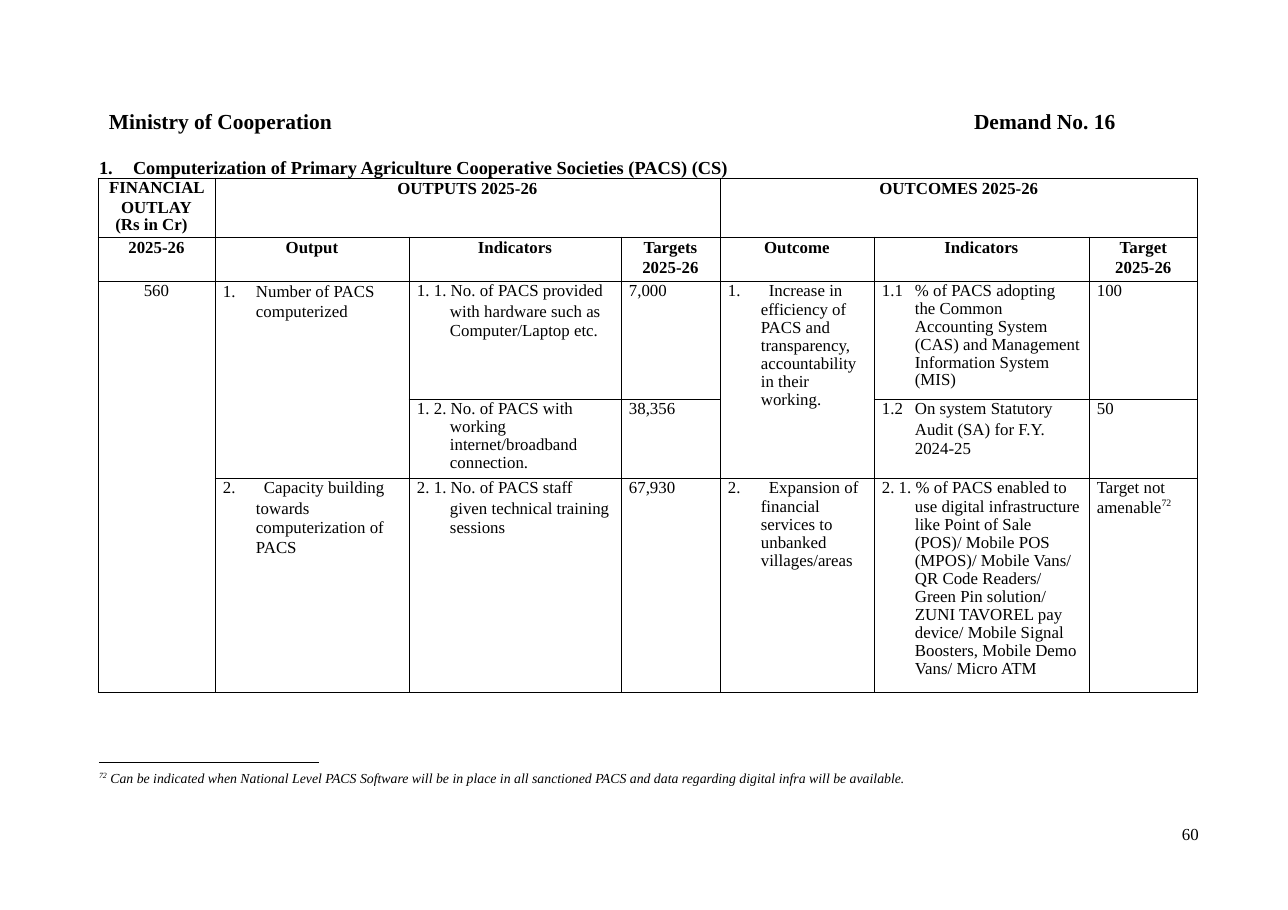
"""Build the ministry's output and outcome framework slide for 2025-26."""
import itertools

import lxml.etree
import pptx
import pptx.dml.color
import pptx.enum.shapes
import pptx.enum.text
import pptx.oxml.ns
import pptx.util

PX = 914400 / 110.2
PAGE_SIZE = (1288, 910)
FONT = "Times New Roman"
COLORS = {"ink": "000000"}
TABLE_PLACE = (98, 178)
COLUMN_WIDTHS = [117, 194, 212, 99, 154, 215, 109]
ROW_HEIGHTS = [59, 44, 118, 79, 214]
RULE = (99, 763, 319, 763)

TITLE = ("Ministry of Cooperation", (109, 107, 230, 29), 1,
         {"size": 14, "bold": True, "before": 1})
BOXES = [
    ("Demand No. 16", (974, 107, 150, 29), 1, {"size": 14, "bold": True, "before": 1}),
    ("1.\tComputerization of Primary Agriculture Cooperative Societies (PACS) (CS)",
     (98, 155, 680, 25), 1,
     {"size": 12, "bold": True, "before": 1, "left": 35, "indent": -34}),
    ("^72^ Can be indicated when National Level PACS Software will be in place in all "
     "sanctioned PACS and data regarding digital infra will be available.",
     (95, 768, 830, 20), 2, {"size": 9, "italic": True, "before": 1, "left": 4}),
    ("60", (1169, 824, 36, 22), 0, {"line": 13.1, "left": 13}),
]

STYLES = {
    "head": {"bold": True, "centered": True, "line": 13},
    "outlay": {"bold": True, "centered": True, "line": 12.7, "left": 10, "before": 0.7},
    "unit": {"bold": True, "centered": True, "line": 11.6},
    "amount": {"centered": True, "line": 12.8},
    "value": {"line": 12.8, "left": 8},
    "note": {"line": 12.7, "left": 8, "before": 0.4},
    "item": {"line": 13.2, "left": 41, "indent": -33},
    "hang": {"line": 12.8, "left": 41, "indent": -33},
    "lead": {"line": 12.8, "left": 49, "indent": -41},
    "loose": {"line": 12.7, "left": 41, "before": 0.8},
    "tight": {"line": 0.96, "left": 41, "before": 0.5},
    "close": {"line": 0.95, "left": 41},
}

MERGES = [((0, 1), (0, 3)), ((0, 4), (0, 6)), ((2, 0), (4, 0)),
          ((2, 1), (3, 1)), ((2, 4), (3, 4))]

CELLS = {
    (0, 0): [("outlay", "FINANCIAL OUTLAY"), ("unit", "(Rs in Cr)")],
    (0, 1): [("head", "OUTPUTS 2025-26")],
    (0, 4): [("head", "OUTCOMES 2025-26")],
    (1, 0): [("head", "2025-26")],
    (1, 1): [("head", "Output")],
    (1, 2): [("head", "Indicators")],
    (1, 3): [("head", "Targets\n2025-26")],
    (1, 4): [("head", "Outcome")],
    (1, 5): [("head", "Indicators")],
    (1, 6): [("head", "Target\n2025-26")],
    (2, 0): [("amount", "560")],
    (2, 1): [("item", "1.\tNumber of PACS computerized")],
    (2, 2): [("value", "1. 1. No. of PACS provided"),
             ("loose", "with hardware such as Computer/Laptop etc.")],
    (2, 3): [("value", "7,000")],
    (2, 4): [("lead", "1.\tIncrease in"),
             ("tight", "efficiency of PACS and transparency, accountability in their working.")],
    (2, 5): [("hang", "1.1\t% of PACS adopting"),
             ("close", "the Common\nAccounting System\n(CAS) and Management\n"
                       "Information System\n(MIS)")],
    (2, 6): [("value", "100")],
    (3, 2): [("value", "1. 2. No. of PACS with"),
             ("close", "working internet/broadband connection.")],
    (3, 3): [("value", "38,356")],
    (3, 5): [("hang", "1.2\tOn system Statutory"),
             ("loose", "Audit (SA) for F.Y.\n2024-25")],
    (3, 6): [("value", "50")],
    (4, 1): [("lead", "2.\tCapacity building"),
             ("loose", "towards\ncomputerization of PACS")],
    (4, 2): [("value", "2. 1. No. of PACS staff"),
             ("loose", "given technical training sessions")],
    (4, 3): [("value", "67,930")],
    (4, 4): [("lead", "2.\tExpansion of"),
             ("tight", "financial services to unbanked villages/areas")],
    (4, 5): [("value", "2. 1. % of PACS enabled to"),
             ("tight", "use digital infrastructure\nlike Point of Sale\n(POS)/ Mobile POS\n"
                       "(MPOS)/ Mobile Vans/\nQR Code Readers/\nGreen Pin solution/\n"
                       "ZUNI TAVOREL pay"),
             ("close", "device/ Mobile Signal Boosters, Mobile Demo Vans/ Micro ATM")],
    (4, 6): [("note", "Target not amenable^72^")],
}


def emu(length):
    return pptx.util.Emu(round(length * PX))


def ink():
    return pptx.dml.color.RGBColor.from_string(COLORS["ink"])


def child(parent, tag, **attributes):
    return lxml.etree.SubElement(parent, pptx.oxml.ns.qn(tag), **attributes)


def write(frame, text, *, size=11, bold=False, italic=False, centered=False,
          left=0, indent=0, before=0, line=1.0):
    """Add a paragraph; text between carets is raised."""
    para = frame.paragraphs[-1]
    if para.runs:
        para = frame.add_paragraph()
    align = pptx.enum.text.PP_ALIGN
    para.alignment = align.CENTER if centered else align.LEFT
    para.line_spacing = pptx.util.Pt(line) if line > 2 else line
    para.space_before = pptx.util.Pt(before)
    props = para._p.get_or_add_pPr()
    props.set("marL", str(emu(left)))
    props.set("indent", str(emu(indent)))
    for row, words in enumerate(text.split("\n")):
        if row:
            para.add_line_break()
        for number, part in enumerate(words.split("^")):
            if part:
                span = para.add_run()
                span.text = part
                span.font.name, span.font.size = FONT, pptx.util.Pt(size)
                span.font.bold, span.font.italic = bold, italic
                span.font.color.rgb = ink()
                if number % 2:
                    span._r.get_or_add_rPr().set("baseline", "38000")


def fill_box(box, text, place, inset, look):
    box.left, box.top, box.width, box.height = map(emu, place)
    frame = box.text_frame
    frame.word_wrap = True
    frame.auto_size = pptx.enum.text.MSO_AUTO_SIZE.NONE
    frame.vertical_anchor = pptx.enum.text.MSO_ANCHOR.TOP
    frame.margin_left = frame.margin_right = frame.margin_bottom = 0
    frame.margin_top = emu(inset)
    write(frame, text, **look)


def add_framework(page):
    holder = page.shapes.add_table(
        len(ROW_HEIGHTS), len(COLUMN_WIDTHS), *map(emu, TABLE_PLACE),
        emu(sum(COLUMN_WIDTHS)), emu(sum(ROW_HEIGHTS)))
    table = holder.table
    table.first_row = table.horz_banding = False
    for column, width in zip(table.columns, COLUMN_WIDTHS):
        column.width = emu(width)
    for row, height in zip(table.rows, ROW_HEIGHTS):
        row.height = emu(height)
    for start, end in MERGES:
        table.cell(*start).merge(table.cell(*end))
    for spot in itertools.product(range(len(ROW_HEIGHTS)), range(len(COLUMN_WIDTHS))):
        cell = table.cell(*spot)
        cell.margin_left = cell.margin_top = cell.margin_bottom = 0
        cell.margin_right = emu(10 if spot == (0, 0) else 0)
        for side in ("a:lnL", "a:lnR", "a:lnT", "a:lnB"):
            border = child(cell._tc.get_or_add_tcPr(), side, w=str(pptx.util.Pt(0.5)))
            child(child(border, "a:solidFill"), "a:srgbClr", val=COLORS["ink"])
        cell.fill.background()
        for style, text in CELLS.get(spot, []):
            write(cell.text_frame, text, **STYLES[style])


def main():
    deck = pptx.Presentation()
    deck.slide_width, deck.slide_height = map(emu, PAGE_SIZE)
    page = deck.slides.add_slide(deck.slide_layouts[5])
    fill_box(page.shapes.title, *TITLE)
    for text, place, inset, look in BOXES:
        fill_box(page.shapes.add_textbox(*map(emu, place)), text, place, inset, look)
    add_framework(page)
    rule = page.shapes.add_connector(
        pptx.enum.shapes.MSO_CONNECTOR.STRAIGHT, *map(emu, RULE))
    rule.line.color.rgb = ink()
    rule.line.width = pptx.util.Pt(0.65)
    child(rule._element.spPr, "a:effectLst")
    deck.save("out.pptx")


if __name__ == "__main__":
    main()
